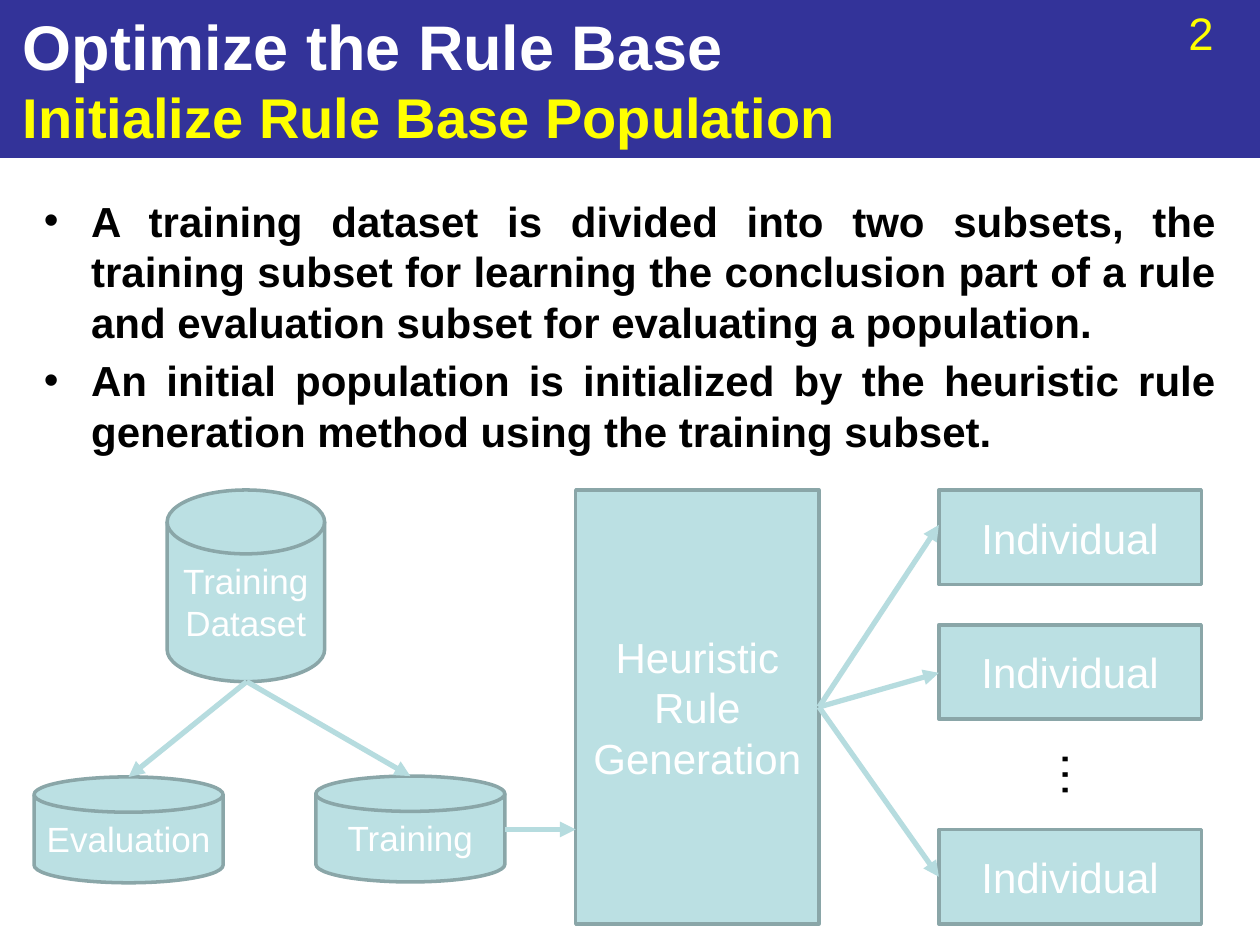
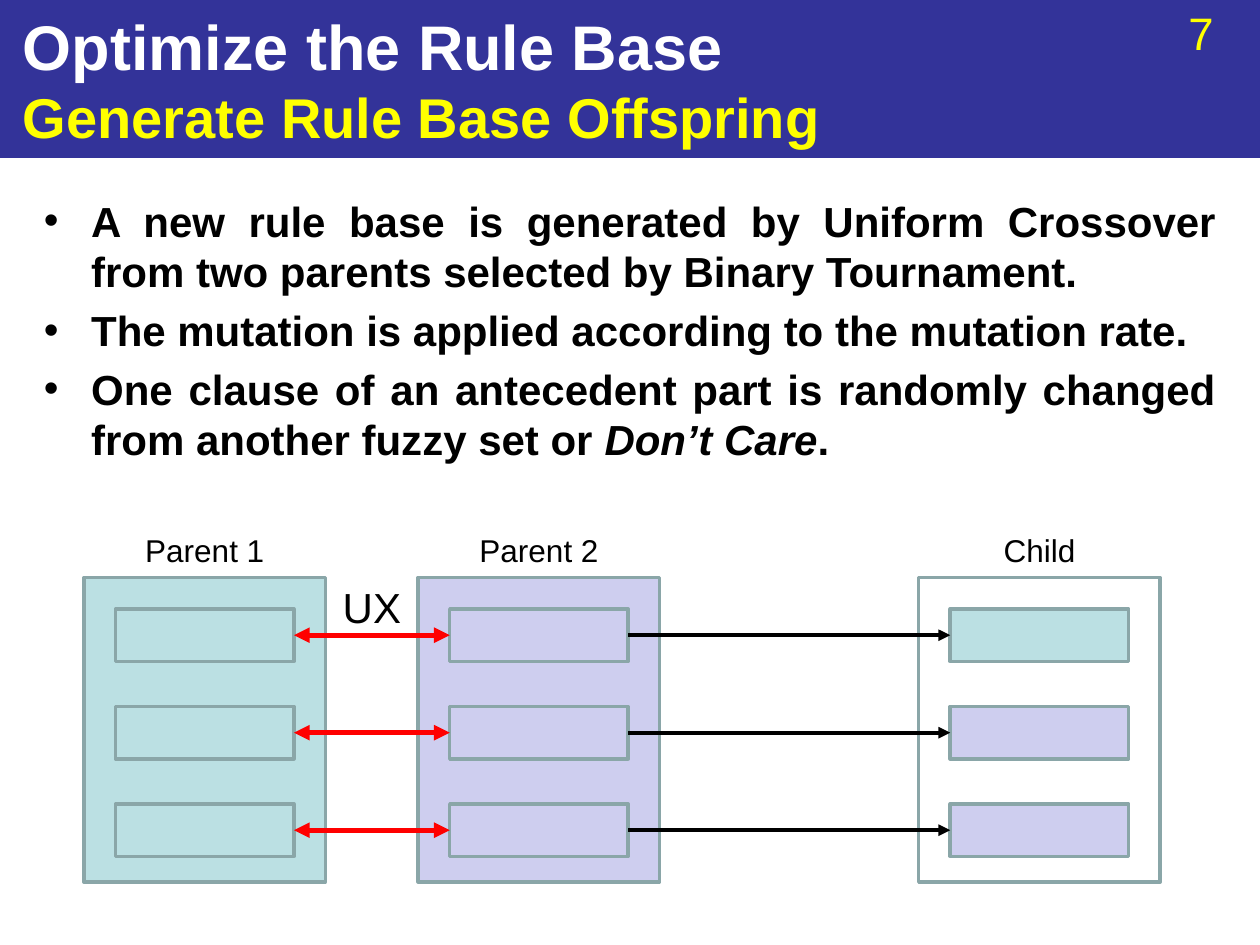
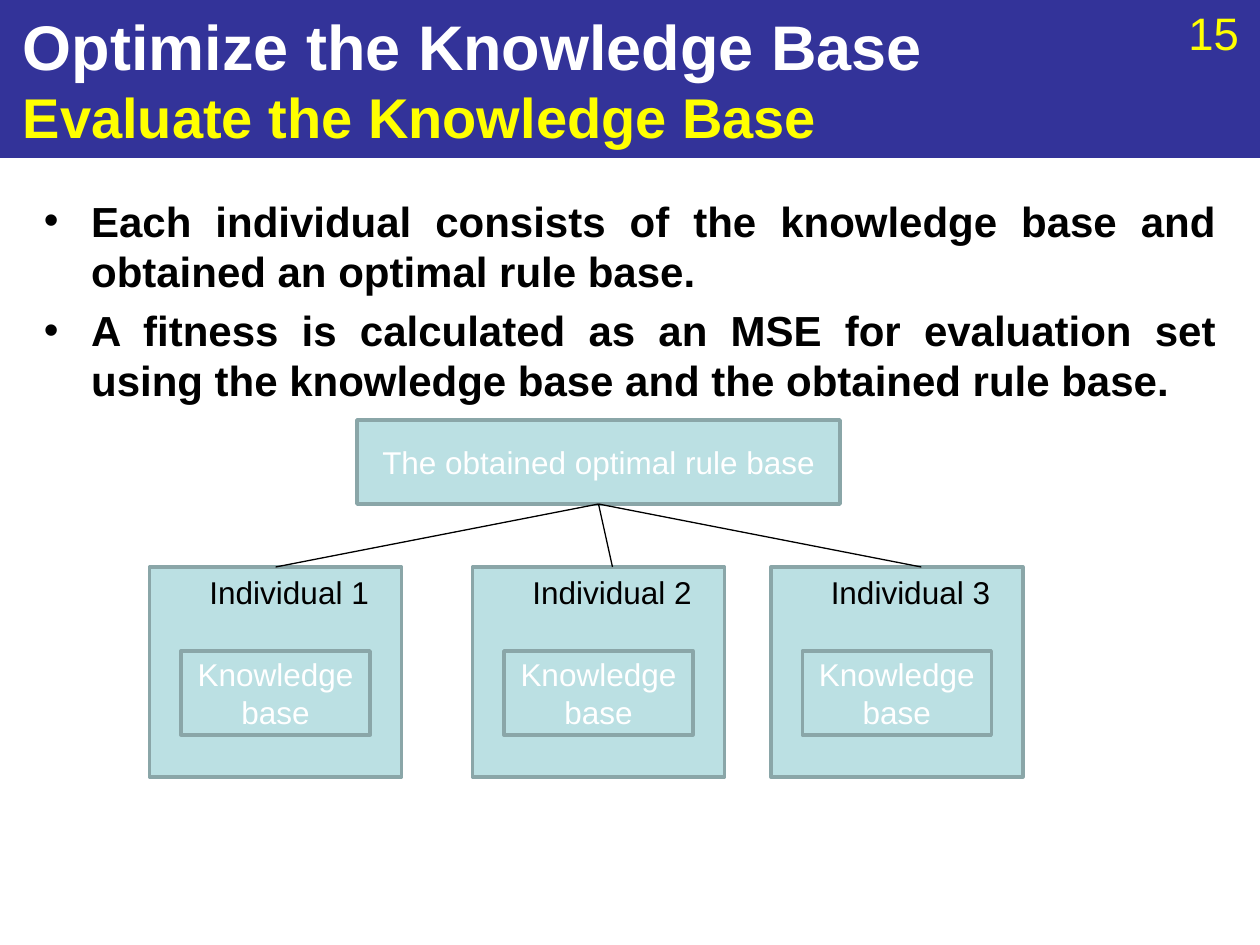
from lxml import etree
from pptx import Presentation
from pptx.dml.color import RGBColor
from pptx.enum import shapes, text
from pptx.oxml import ns
from pptx.util import Pt

FONT = "Arial"
NAVY, YELLOW, WHITE, BLACK, RED = "333399", "FFFF00", "FFFFFF", "000000", "FF0000"
TEAL, LILAC, OUTLINE, ARROW = "BBE0E3", "CECEEF", "8AA6A8", "B6DCDF"
RECTANGLE = shapes.MSO_SHAPE.RECTANGLE
DISK = shapes.MSO_SHAPE.FLOWCHART_MAGNETIC_DISK
color = RGBColor.from_string


def add_block(slide, box, content="", size=18, ink=WHITE, fill=None,
              kind=RECTANGLE, align=text.PP_ALIGN.CENTER, wrap=True):
    """Add a filled shape, or a plain text box if no fill is given."""
    box = [Pt(length) for length in box]
    if fill:
        shape = slide.shapes.add_shape(kind, *box)
        shape.shadow.inherit = False
        shape.fill.solid()
        shape.fill.fore_color.rgb = color(fill)
        shape.line.color.rgb = color(OUTLINE)
        shape.line.width = Pt(2)
    else:
        shape = slide.shapes.add_textbox(*box)
    shape.text_frame.word_wrap = wrap
    shape.text_frame.text = content
    for paragraph in shape.text_frame.paragraphs:
        paragraph.alignment = align
        for run in paragraph.runs:
            run.font.name = FONT
            run.font.size = Pt(size)
            run.font.color.rgb = color(ink)
    return shape


def add_line(slide, start, end, ink=BLACK, width=0.75, arrows=()):
    """Add a straight line; arrows lists its pointed ends, headEnd first."""
    line = slide.shapes.add_connector(
        shapes.MSO_CONNECTOR.STRAIGHT, *[Pt(length) for length in (*start, *end)])
    line.line.color.rgb = color(ink)
    line.line.width = Pt(width)
    for arrow in arrows:
        etree.SubElement(line.line._get_or_add_ln(), ns.qn("a:" + arrow), type="triangle")
    etree.SubElement(line._element.spPr, ns.qn("a:effectLst"))


presentation = Presentation()
presentation.slide_width, presentation.slide_height = Pt(720), Pt(540)

# Each bullet is a tuple of pieces; its second piece is italic.
pages = [
    ("2", "Optimize the Rule Base", "Initialize Rule Base Population", [
        ("A training dataset is divided into two subsets, the training subset for "
         "learning the conclusion part of a rule and evaluation subset for "
         "evaluating a population.",),
        ("An initial population is initialized by the heuristic rule generation "
         "method using the training subset.",)]),
    ("7", "Optimize the Rule Base", "Generate Rule Base Offspring", [
        ("A new rule base is generated by Uniform Crossover from two parents "
         "selected by Binary Tournament.",),
        ("The mutation is applied according to the mutation rate.",),
        ("One clause of an antecedent part is randomly changed from another "
         "fuzzy set or ", "Don’t Care", ".")]),
    ("15", "Optimize the Knowledge Base", "Evaluate the Knowledge Base", [
        ("Each individual consists of the knowledge base and obtained an optimal "
         "rule base.",),
        ("A fitness is calculated as an MSE for evaluation set using the knowledge "
         "base and the obtained rule base.",)]),
]

# Shared frame: band, number, title and bullets
for number, title, subtitle, bullets in pages:
    slide = presentation.slides.add_slide(presentation.slide_layouts[6])
    band = add_block(slide, (0, 0, 720, 90), fill=NAVY)
    band.line.color.rgb = color(NAVY)
    band.line.width = Pt(0.75)
    add_block(slide, (672, -0.7, 48, 39), number, 26, YELLOW, align=text.PP_ALIGN.LEFT)

    heading = add_block(slide, (6, 0, 648, 90), title + "\v" + subtitle, 36,
                        align=text.PP_ALIGN.LEFT)
    heading.text_frame.vertical_anchor = text.MSO_ANCHOR.MIDDLE
    title_run, subtitle_run = heading.text_frame.paragraphs[0].runs
    title_run.font.bold = subtitle_run.font.bold = True
    subtitle_run.font.size = Pt(32)
    subtitle_run.font.color.rgb = color(YELLOW)

    body = add_block(slide, (18, 108, 684, 408))
    for index, pieces in enumerate(bullets):
        frame = body.text_frame
        paragraph = frame.add_paragraph() if index else frame.paragraphs[0]
        paragraph.alignment = text.PP_ALIGN.JUSTIFY
        paragraph.space_before = Pt(4.8)
        properties = paragraph._p.get_or_add_pPr()
        properties.set("marL", str(Pt(27)))
        properties.set("indent", str(-Pt(27)))
        etree.SubElement(properties, ns.qn("a:buFont"), typeface=FONT)
        etree.SubElement(properties, ns.qn("a:buChar"), char="•")
        for position, piece in enumerate(pieces):
            run = paragraph.add_run()
            run.text = piece
            run.font.name = FONT
            run.font.size = Pt(24)
            run.font.bold = True
            run.font.italic = position == 1
            run.font.color.rgb = color(BLACK)

population, crossover, evaluation = presentation.slides

# Dataset split, rule generation and the initial population
for box, label in [((19.5, 444, 108, 60.5), "Evaluation"),
                   ((95.5, 280, 90, 109.5), "Training\nDataset"),
                   ((180.5, 443.5, 108, 60.5), "Training")]:
    add_block(population, box, label, 20, fill=TEAL, kind=DISK)
add_block(population, (329, 280, 139, 248), "Heuristic\nRule\nGeneration", 24, fill=TEAL)
for top in (280, 357, 474):
    add_block(population, (536.5, top, 150, 54), "Individual", 24, fill=TEAL)
for start, end in [((141, 389.5), (73.5, 444)), ((141, 389.5), (234.5, 443.5)),
                   ((288.5, 474), (329, 474)), ((468, 404), (536.5, 300)),
                   ((468, 404), (536.5, 384.5)), ((468, 404), (536.5, 501))]:
    add_line(population, start, end, ARROW, 3, ["tailEnd"])
ellipsis = add_block(population, (597, 422.5, 42.5, 41), "…", 28, BLACK,
                     align=text.PP_ALIGN.LEFT, wrap=False)
ellipsis.rotation = 90

# Uniform crossover: two parents and their child, three rules each
panel_width, rule_width, inset = 138, 102, 18
rule_tops = [348 + 55.7 * row for row in range(3)]
parent_1, parent_2, child = 48, 239, 525
for left, label, label_width, fill, rule_fills in [
        (parent_1, "Parent 1", 84, TEAL, [TEAL] * 3),
        (parent_2, "Parent 2", 84, LILAC, [LILAC] * 3),
        (child, "Child", 56, WHITE, [TEAL, LILAC, LILAC])]:
    add_block(crossover, (left, 330, panel_width, 174), fill=fill)
    for top, rule_fill in zip(rule_tops, rule_fills):
        add_block(crossover, (left + inset, top, rule_width, 30), fill=rule_fill)
    label_left = left + (panel_width - label_width) / 2
    add_block(crossover, (label_left, 300, label_width, 29), label, 18, BLACK, wrap=False)
for top in rule_tops:
    middle = top + 15
    add_line(crossover, (parent_1 + inset + rule_width, middle), (parent_2 + inset, middle),
             RED, 3, ["headEnd", "tailEnd"])
    add_line(crossover, (parent_2 + inset + rule_width, middle), (child + inset, middle),
             BLACK, 2.25, ["tailEnd"])
add_block(crossover, (188.5, 329, 48, 36), "UX", 24, BLACK, wrap=False)

# One optimal rule base shared by three individuals
add_block(evaluation, (204, 240, 276, 48), "The obtained optimal rule base", fill=TEAL)
for index, (left, line_end) in enumerate([(85.5, 157.5), (270, 350), (440.5, 526.5)], 1):
    add_block(evaluation, (left, 324, 144, 120), fill=TEAL)
    add_block(evaluation, (left + 18, 372, 108, 48), "Knowledge base", fill=TEAL)
    add_block(evaluation, (left + 26.5, 324, 106.5, 29), f"Individual {index}", 18, BLACK,
              wrap=False)
    add_line(evaluation, (342, 288), (line_end, 324))

presentation.save("out.pptx")
